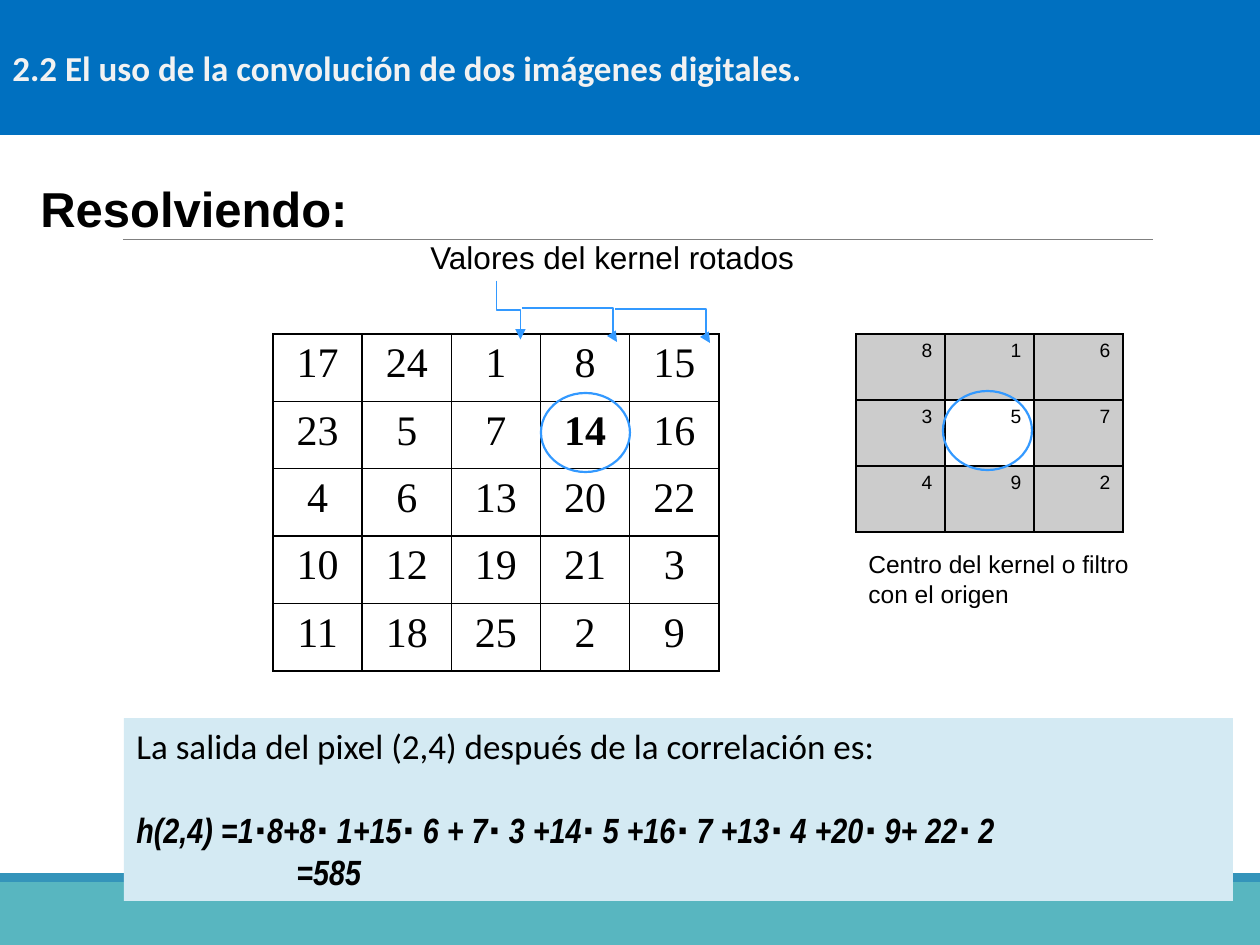
import pptx
import pptx.dml.color
import pptx.enum.shapes
import pptx.enum.text
import pptx.oxml
import pptx.oxml.ns
import pptx.util
from lxml import etree

RGB = pptx.dml.color.RGBColor
BLACK = RGB(0x00, 0x00, 0x00)
WHITE = RGB(0xFF, 0xFF, 0xFF)
GRAY = RGB(0x80, 0x80, 0x80)
OFF_WHITE = RGB(0xF2, 0xF2, 0xF2)
HEADER_BLUE = RGB(0x00, 0x70, 0xC0)
MARK_BLUE = RGB(0x33, 0x99, 0xFF)
PALE_BLUE = RGB(0xD4, 0xEA, 0xF3)
TEAL = RGB(0x58, 0xB6, 0xC0)
DEEP_TEAL = RGB(0x34, 0x94, 0xBA)

SHAPE = pptx.enum.shapes.MSO_SHAPE
LINE = pptx.enum.shapes.MSO_CONNECTOR
ALIGN = pptx.enum.text.PP_ALIGN
ANCHOR = pptx.enum.text.MSO_ANCHOR
EMU_PER_PX = 914400 / 126


def emu(px):
    return pptx.util.Emu(round(px * EMU_PER_PX))


def add_xml(parent, tag, **attributes):
    return etree.SubElement(parent, pptx.oxml.ns.qn(tag), attributes)


class Painter:
    """Draws elements on the current page; lengths are px."""

    def __init__(self, page):
        self.page = page

    def style(self, para, size, font, color=BLACK, bold=False, italic=False, align=ALIGN.LEFT):
        para.alignment = align
        for span in para.runs:
            span.font.size = pptx.util.Pt(size)
            span.font.name = font
            span.font.color.rgb = color
            span.font.bold = bold
            span.font.italic = italic

    def shape(self, kind, left, top, width, height, fill=None, line=None):
        shape = self.page.shapes.add_shape(kind, emu(left), emu(top), emu(width), emu(height))
        shape.shadow.inherit = False
        if fill is None:
            shape.fill.background()
        else:
            shape.fill.solid()
            shape.fill.fore_color.rgb = fill
        if line is None:
            shape.line.fill.background()
        else:
            shape.line.color.rgb = line
            shape.line.width = pptx.util.Pt(1.25)
        return shape

    def text(self, left, top, width, height, words, size, wrap=True, **look):
        box = self.page.shapes.add_textbox(emu(left), emu(top), emu(width), emu(height))
        box.text_frame.word_wrap = wrap
        box.text_frame.text = words
        self.style(box.text_frame.paragraphs[0], size, "Arial", **look)
        return box

    def line(self, kind, start, end, color, width):
        line = self.page.shapes.add_connector(kind, *map(emu, start + end))
        line.line.color.rgb = color
        line.line.width = pptx.util.Pt(width)
        add_xml(line._element.spPr, "a:effectLst")
        return line

    def bent_arrow(self, start, end, bend=50000, turn=0):
        """Elbow arrow; bend is in 1/100000 of its width, turn in degrees."""
        arrow = self.line(LINE.ELBOW, start, end, MARK_BLUE, 1)
        properties = arrow._element.spPr
        add_xml(arrow.line._get_or_add_ln(), "a:tailEnd", type="triangle")
        if turn:
            properties.find(pptx.oxml.ns.qn("a:xfrm")).set("rot", str(turn * 60000))
        guides = properties.find(pptx.oxml.ns.qn("a:prstGeom")).get_or_add_avLst()
        add_xml(guides, "a:gd", name="adj1", fmla=f"val {bend}")

    def border(self, cell):
        properties = cell._tc.get_or_add_tcPr()
        for index, side in enumerate(("a:lnL", "a:lnR", "a:lnT", "a:lnB")):
            edge = add_xml(properties, side, w="12700")
            fill = add_xml(edge, "a:solidFill")
            add_xml(fill, "a:srgbClr", val=str(BLACK))
            properties.insert(index, edge)

    def grid(self, left, top, width, height, rows, size, font, align, fill, marked, opacity=None):
        """Table with one unfilled cell, marked as (row, column)."""
        frame = self.page.shapes.add_table(
            len(rows), len(rows[0]), emu(left), emu(top), emu(width), emu(height))
        table = frame.table
        table.first_row = table.horz_banding = False
        for r, row in enumerate(rows):
            for c, value in enumerate(row):
                cell = table.cell(r, c)
                cell.text_frame.text = str(value)
                is_bold = (r, c) == marked and align == ALIGN.CENTER
                self.style(cell.text_frame.paragraphs[0], size, font, bold=is_bold, align=align)
                if (r, c) == marked:
                    cell.fill.background()
                else:
                    cell.fill.solid()
                    cell.fill.fore_color.rgb = fill
                    if opacity:
                        color = next(cell._tc.tcPr.iter(pptx.oxml.ns.qn("a:srgbClr")))
                        add_xml(color, "a:alpha", val=str(opacity * 1000))
                self.border(cell)


def main():
    deck = pptx.Presentation()
    deck.slide_width, deck.slide_height = emu(1260), emu(945)
    painter = Painter(deck.slides.add_slide(deck.slide_layouts[6]))

    painter.shape(SHAPE.RECTANGLE, 0, 882, 1260, 63, TEAL)
    painter.shape(SHAPE.RECTANGLE, 0, 873, 1260, 9, DEEP_TEAL)
    painter.line(LINE.STRAIGHT, (123, 239), (1153, 239), GRAY, 0.5)

    heading = painter.text(28, 166, 1206, 123, "Resolviendo:", 28, bold=True, align=ALIGN.JUSTIFY)
    heading.text_frame.margin_top = emu(13)

    header = painter.shape(SHAPE.RECTANGLE, 0, 0, 1260, 135, HEADER_BLUE).text_frame
    header.text = "2.2 El uso de la convolución de dos imágenes digitales."
    header.vertical_anchor = ANCHOR.MIDDLE
    painter.style(header.paragraphs[0], 20, "Calibri", OFF_WHITE, bold=True)

    result = painter.shape(SHAPE.RECTANGLE, 124, 718, 1109, 183, PALE_BLUE).text_frame
    result.vertical_anchor = ANCHOR.TOP
    result.text = "\n".join((
        "La salida del pixel (2,4) después de la correlación es:",
        "h(2,4) =1⋅8+8⋅ 1+15⋅ 6 + 7⋅ 3 +14⋅ 5 +16⋅ 7 +13⋅ 4 +20⋅ 9+ 22⋅ 2",
        "=585"))
    intro, formula, total = result.paragraphs
    painter.style(intro, 20, "Calibri", align=ALIGN.JUSTIFY)
    intro.space_after = pptx.util.Pt(24)
    for para in (formula, total):
        painter.style(para, 20, "Arial Narrow", bold=True, italic=True, align=ALIGN.JUSTIFY)
    total._p.get_or_add_pPr().set("marL", str(emu(160)))

    image = [(17, 24, 1, 8, 15), (23, 5, 7, 14, 16), (4, 6, 13, 20, 22),
             (10, 12, 19, 21, 3), (11, 18, 25, 2, 9)]
    kernel = [(8, 1, 6), (3, 5, 7), (4, 9, 2)]
    painter.grid(273, 334, 446, 337, image, 24, "Times New Roman", ALIGN.CENTER, WHITE, (1, 3))
    painter.grid(856, 334, 267, 198, kernel, 11, "Arial", ALIGN.RIGHT, BLACK, (1, 1), opacity=20)

    painter.shape(SHAPE.OVAL, 541, 393, 89, 79, line=MARK_BLUE)
    painter.text(856, 543, 287, 72, "Centro del kernel o filtro con el origen", 14)
    painter.text(418, 232, 392, 50, "Valores del kernel rotados", 18, wrap=False)
    painter.bent_arrow((522, 308), (617, 342), bend=95800)
    painter.bent_arrow((538, 298), (479, 322), turn=270)
    painter.bent_arrow((615, 309), (710, 343), bend=95800)
    painter.shape(SHAPE.OVAL, 943, 391, 89, 79, line=MARK_BLUE)

    deck.save("out.pptx")


if __name__ == "__main__":
    main()
